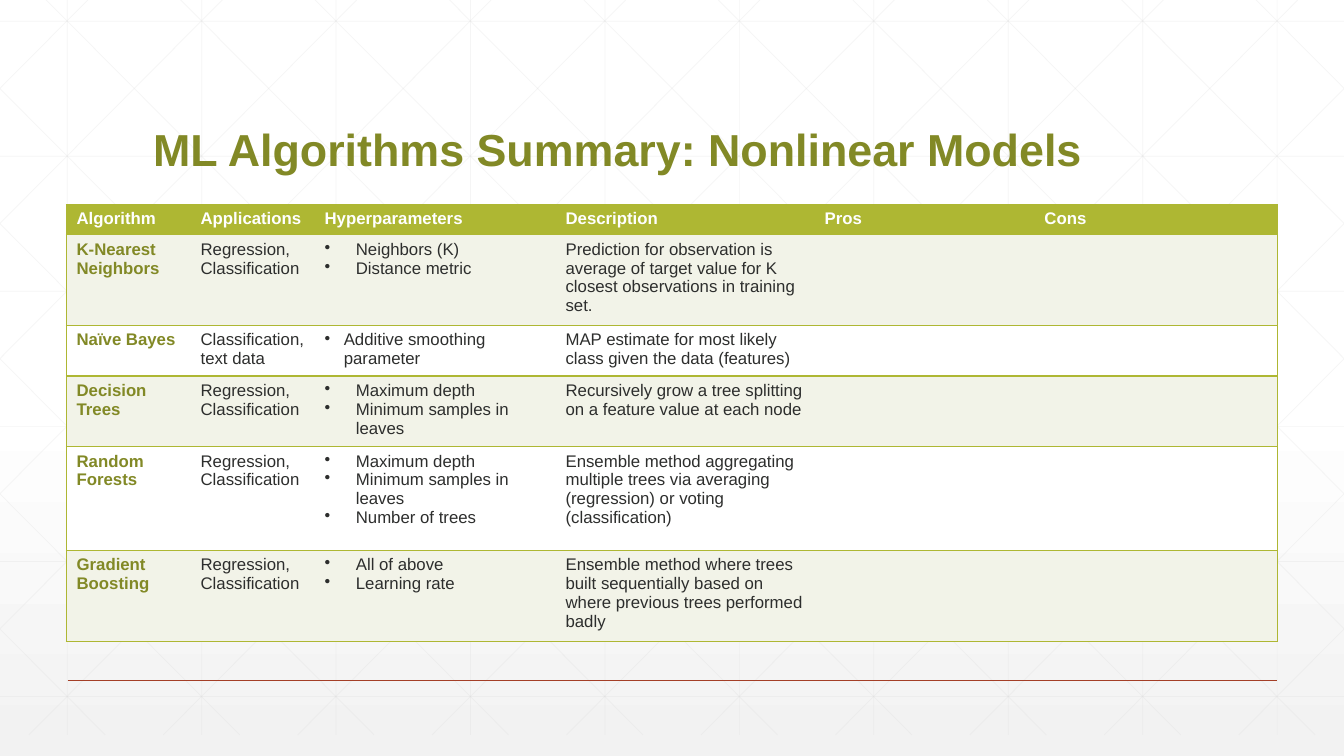
from lxml import etree
from pptx import Presentation
from pptx.dml.color import RGBColor
from pptx.enum.shapes import MSO_CONNECTOR
from pptx.enum.text import MSO_ANCHOR
from pptx.oxml.ns import qn
from pptx.util import Inches, Pt

WHITE = RGBColor(0xFF, 0xFF, 0xFF)
PALE_GREY = RGBColor(0xF2, 0xF2, 0xF2)
GRID_GREY = RGBColor(0xD9, 0xD9, 0xD9)
RUST = RGBColor(0xA4, 0x3F, 0x27)
OLIVE = RGBColor(0x82, 0x89, 0x26)
LIME = RGBColor(0xAE, 0xB7, 0x33)
PALE_GREEN = RGBColor(0xF2, 0xF3, 0xE8)
INK = RGBColor(0x2D, 0x2E, 0x2D)

FONT = "Arial"
NO_TABLE_STYLE = "{2D5ABB26-0587-4C30-8999-92F81FD0307C}"

SLIDE_W, SLIDE_H = 13.33, 7.5
GRID_STEP = 4 / 3
GRID_TOP, GRID_BOTTOM = -0.21, 7.29
DIAGONAL_RUN = 7.46 / 7.5  # sideways travel per inch of height

COLUMN_WIDTHS = [1.23, 1.23, 2.39, 2.57, 2.18, 2.41]
ROW_HEIGHTS = [0.28, 0.85, 0.48, 0.66, 1.03, 0.85]
HEADERS = ["Algorithm", "Applications", "Hyperparameters", "Description", "Pros", "Cons"]
# algorithm, applications, hyperparameters, bullet indent, description
MODELS = [
    ("K-Nearest Neighbors", "Regression, Classification",
     ["Neighbors (K)", "Distance metric"], 0.31,
     "Prediction for observation is average of target value for K "
     "closest observations in training set."),
    ("Naïve Bayes", "Classification, text data",
     ["Additive smoothing parameter"], 0.19,
     "MAP estimate for most likely class given the data (features)"),
    ("Decision Trees", "Regression, Classification",
     ["Maximum depth", "Minimum samples in leaves"], 0.31,
     "Recursively grow a tree splitting on a feature value at each node"),
    ("Random Forests", "Regression, Classification",
     ["Maximum depth", "Minimum samples in leaves", "Number of trees"], 0.31,
     "Ensemble method aggregating multiple trees via averaging "
     "(regression) or voting (classification)"),
    ("Gradient Boosting", "Regression, Classification",
     ["All of above", "Learning rate"], 0.31,
     "Ensemble method where trees built sequentially based on where "
     "previous trees performed badly"),
]


def set_background(s):
    fill = s.background.fill
    fill.gradient()
    fill.gradient_angle = 270
    for stop, position, color in zip(fill.gradient_stops, (0.53, 1), (WHITE, PALE_GREY)):
        stop.position = position
        stop.color.rgb = color


def add_line(s, x1, y1, x2, y2, color, width, opacity=100):
    line = s.shapes.add_connector(MSO_CONNECTOR.STRAIGHT, Inches(x1), Inches(y1),
                                  Inches(x2), Inches(y2))
    line.line.color.rgb = color
    line.line.width = Pt(width)
    sp_pr = line._element.spPr
    etree.SubElement(sp_pr, qn("a:effectLst"))
    if opacity < 100:
        clr = sp_pr.find(".//" + qn("a:srgbClr"))
        etree.SubElement(clr, qn("a:alpha"), val=str(opacity * 1000))


def add_grid(s):
    """Faint squares crossed by diagonals, cut off at the slide edges."""
    def grid_line(x1, y1, x2, y2):
        add_line(s, x1, y1, x2, y2, GRID_GREY, 0.5, opacity=25)

    for i in range(10):
        x = GRID_STEP * (i + 0.5)
        grid_line(x, 0, x, GRID_BOTTOM)
    for i in range(6):
        y = 0.21 + 1.34 * i
        grid_line(0, y, SLIDE_W, y)
    for i in range(-5, 10):
        start = 0.25 + GRID_STEP * i
        y1 = max(0, GRID_TOP - start / DIAGONAL_RUN)
        y2 = min(GRID_BOTTOM, GRID_TOP + (SLIDE_W - start) / DIAGONAL_RUN)
        x1, x2 = (start + (y - GRID_TOP) * DIAGONAL_RUN for y in (y1, y2))
        grid_line(x1, y1, x2, y2)
        grid_line(SLIDE_W - x1, y1, SLIDE_W - x2, y2)


def style_paragraph(p, size, color, bold):
    p.font.name = FONT
    p.font.size = Pt(size)
    p.font.bold = bold
    p.font.color.rgb = color


def add_title(s, text):
    box = s.shapes.add_textbox(Inches(1.42), Inches(0.55), Inches(11.44), Inches(1.25))
    tf = box.text_frame
    tf.word_wrap = True
    tf.vertical_anchor = MSO_ANCHOR.BOTTOM
    p = tf.paragraphs[0]
    p.text = text
    p.line_spacing = 0.9
    style_paragraph(p, 32, OLIVE, True)


def add_bullet(p, indent):
    p_pr = p._p.get_or_add_pPr()
    p_pr.set("marL", str(Inches(indent)))
    p_pr.set("indent", str(-Inches(indent)))
    bullet = etree.Element(qn("a:buChar"), char="•")
    p_pr.insert(0, bullet)


def add_borders(cell, sides):
    tc_pr = cell._tc.get_or_add_tcPr()
    for side in sides:
        ln = etree.SubElement(tc_pr, qn("a:ln" + side), w=str(Pt(1)))
        fill = etree.SubElement(ln, qn("a:solidFill"))
        etree.SubElement(fill, qn("a:srgbClr"), val=str(LIME))


def fill_cell(cell, lines, fill, color, bold=False, indent=0):
    cell.fill.solid()
    cell.fill.fore_color.rgb = fill
    tf = cell.text_frame
    tf.text = "\n".join(lines)
    for p in tf.paragraphs:
        style_paragraph(p, 12, color, bold)
        if indent:
            add_bullet(p, indent)


def add_model_table(s):
    rows, cols = len(ROW_HEIGHTS), len(COLUMN_WIDTHS)
    frame = s.shapes.add_table(rows, cols, Inches(0.66), Inches(2.03),
                               Inches(sum(COLUMN_WIDTHS)), Inches(sum(ROW_HEIGHTS)))
    table = frame.table
    table._tbl.tblPr.find(qn("a:tableStyleId")).text = NO_TABLE_STYLE
    for column, width in zip(table.columns, COLUMN_WIDTHS):
        column.width = Inches(width)
    for row, height in zip(table.rows, ROW_HEIGHTS):
        row.height = Inches(height)
    for r in range(rows):
        for c in range(cols):
            sides = ["L"] * (c == 0) + ["R"] * (c == cols - 1) + ["T", "B"]
            add_borders(table.cell(r, c), sides)

    for c, header in enumerate(HEADERS):
        fill_cell(table.cell(0, c), [header], LIME, WHITE, bold=True)
    for r, (name, uses, parameters, indent, description) in enumerate(MODELS, 1):
        band = PALE_GREEN if r % 2 else WHITE
        fill_cell(table.cell(r, 0), [name], band, OLIVE, bold=True)
        fill_cell(table.cell(r, 1), [uses], band, INK)
        fill_cell(table.cell(r, 2), parameters, band, INK, indent=indent)
        fill_cell(table.cell(r, 3), [description], band, INK)
        for c in (4, 5):
            fill_cell(table.cell(r, c), [], band, INK)


def main():
    prs = Presentation()
    prs.slide_width, prs.slide_height = Inches(SLIDE_W), Inches(SLIDE_H)
    s = prs.slides.add_slide(prs.slide_layouts[6])
    set_background(s)
    add_grid(s)
    add_line(s, 0.67, 6.75, 12.67, 6.75, RUST, 1)
    add_title(s, "ML Algorithms Summary: Nonlinear Models")
    add_model_table(s)
    prs.save("out.pptx")


if __name__ == "__main__":
    main()
